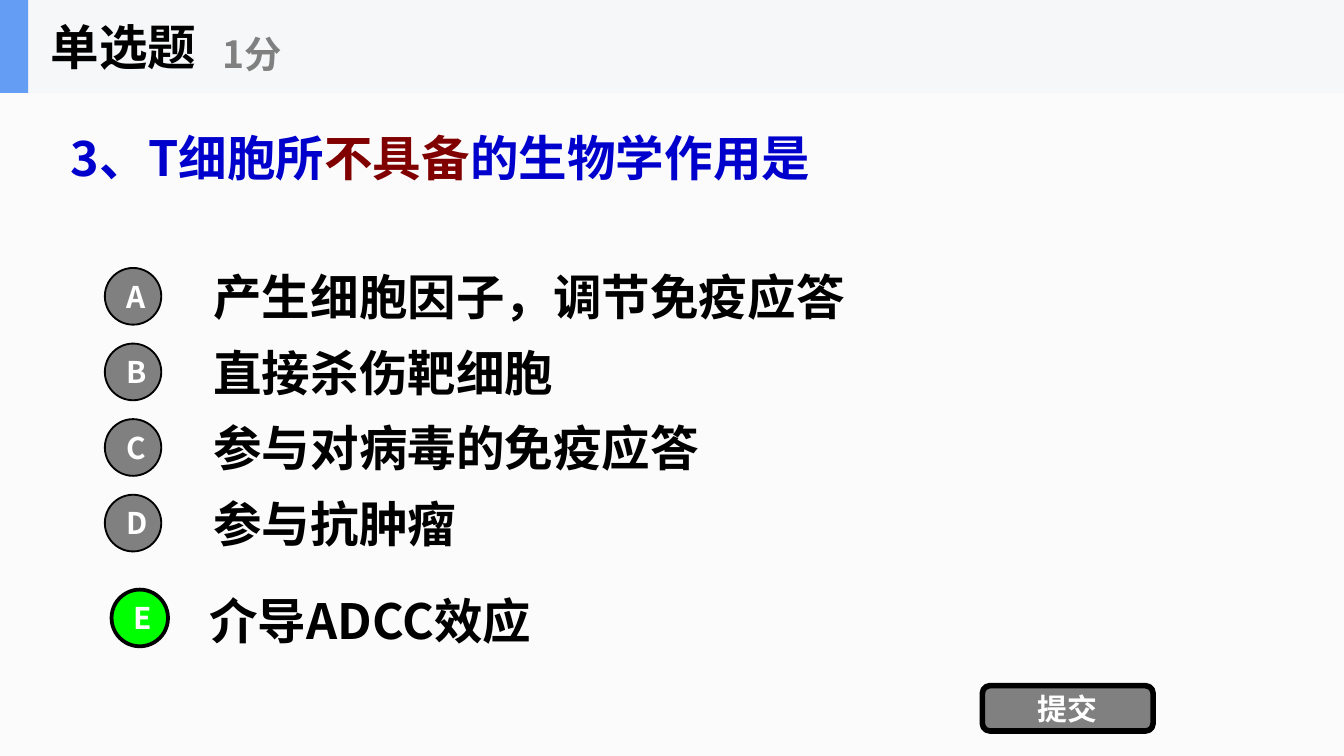
import pptx
import pptx.dml.color
import pptx.enum.shapes
import pptx.enum.text
import pptx.oxml.ns
import pptx.util

FONT = "Noto Sans CJK SC"
BLACK, WHITE, GREY, BLUE = "000000", "FFFFFF", "808080", "0000CC"
rgb = pptx.dml.color.RGBColor.from_string
Pt = pptx.util.Pt
MSO = pptx.enum.shapes.MSO_SHAPE
ALIGN = pptx.enum.text.PP_ALIGN

prs = pptx.Presentation()
prs.slide_width = pptx.util.Inches(10)
prs.slide_height = pptx.util.Inches(5.625)
col, row = prs.slide_width / 100, prs.slide_height / 100
s = prs.slides.add_slide(prs.slide_layouts[6])
s.background.fill.solid()
s.background.fill.fore_color.rgb = rgb("FBFBFC")


def write(sp, runs, size, align=ALIGN.LEFT):
    """Fill sp with one bold paragraph of (text, colour) runs and return it."""
    tf = sp.text_frame
    tf.word_wrap = True
    tf.vertical_anchor = pptx.enum.text.MSO_ANCHOR.MIDDLE
    p = tf.paragraphs[0]
    p.alignment = align
    for text, color in runs:
        r = p.add_run()
        r.text = text
        r.font.size, r.font.bold, r.font.name = Pt(size), True, FONT
        r.font.color.rgb = rgb(color)
        ea = r._r.get_or_add_rPr().makeelement(pptx.oxml.ns.qn("a:ea"), {"typeface": FONT})
        r.font._element.find(pptx.oxml.ns.qn("a:latin")).addnext(ea)
    return p


def add(kind, x, y, w, h, fill=None, line=0):
    """Add a preset shape, or a text box if kind is None, on the 100 x 100 grid."""
    place = [int(v) for v in (x * col, y * row, w * col, h * row)]
    if kind is None:
        return s.shapes.add_textbox(*place)
    sp = s.shapes.add_shape(kind, *place)
    sp.shadow.inherit = False
    sp.fill.solid()
    sp.fill.fore_color.rgb = rgb(fill)
    if line:
        sp.line.color.rgb = rgb(BLACK)
        sp.line.width = Pt(line)
    else:
        sp.line.fill.background()
    return sp


# Question
write(add(None, 4.3, 5.15, 80, 31.3),
      [("3、T细胞所", BLUE), ("不具备", "800000"), ("的生物学作用是", BLUE)], 26)

# Options: text x, text y, circle x, circle y, circle fill, outline
answers = ["产生细胞因子，调节免疫应答", "直接杀伤靶细胞", "参与对病毒的免疫应答", "参与抗肿瘤"]
options = [(letter, answer, 14.9, 34.5 + 10 * i, 7.8, 35.45 + 10 * i, GREY, 1)
           for i, (letter, answer) in enumerate(zip("ABCD", answers))]
options.append(("E", "介导ADCC效应", 14.6, 78, 8.3, 78, "00FF00", 2))
for letter, answer, tx, ty, cx, cy, fill, line in options:
    p = write(add(None, tx, ty, 70, 9.4), [(answer, BLACK)], 26)
    write(add(MSO.OVAL, cx, cy, 4.2, 7.5, fill, line), [(letter, WHITE)], 16, ALIGN.CENTER)

# The last option has a hanging indent and tighter lines
p.line_spacing = 0.8
indent = int(6.2 * col)
p._p.get_or_add_pPr().set("marL", str(indent))
p._p.get_or_add_pPr().set("indent", str(-indent))

# Submit button
write(add(MSO.ROUNDED_RECTANGLE, 73.1, 90.7, 12.7, 6, GREY, 3),
      [("提交", WHITE)], 16, ALIGN.CENTER)

# Header
header = 12.3
add(MSO.RECTANGLE, 0, 0, 100, header, "F6F7F8")
add(MSO.RECTANGLE, 0, 0, 2.1, header, "639EF4")
write(add(None, 2.8, 0, 20.8, header), [("单选题", BLACK)], 26)
write(add(None, 15.6, 2.15, 25, 10), [("1分", GREY)], 20)

prs.save("out.pptx")
